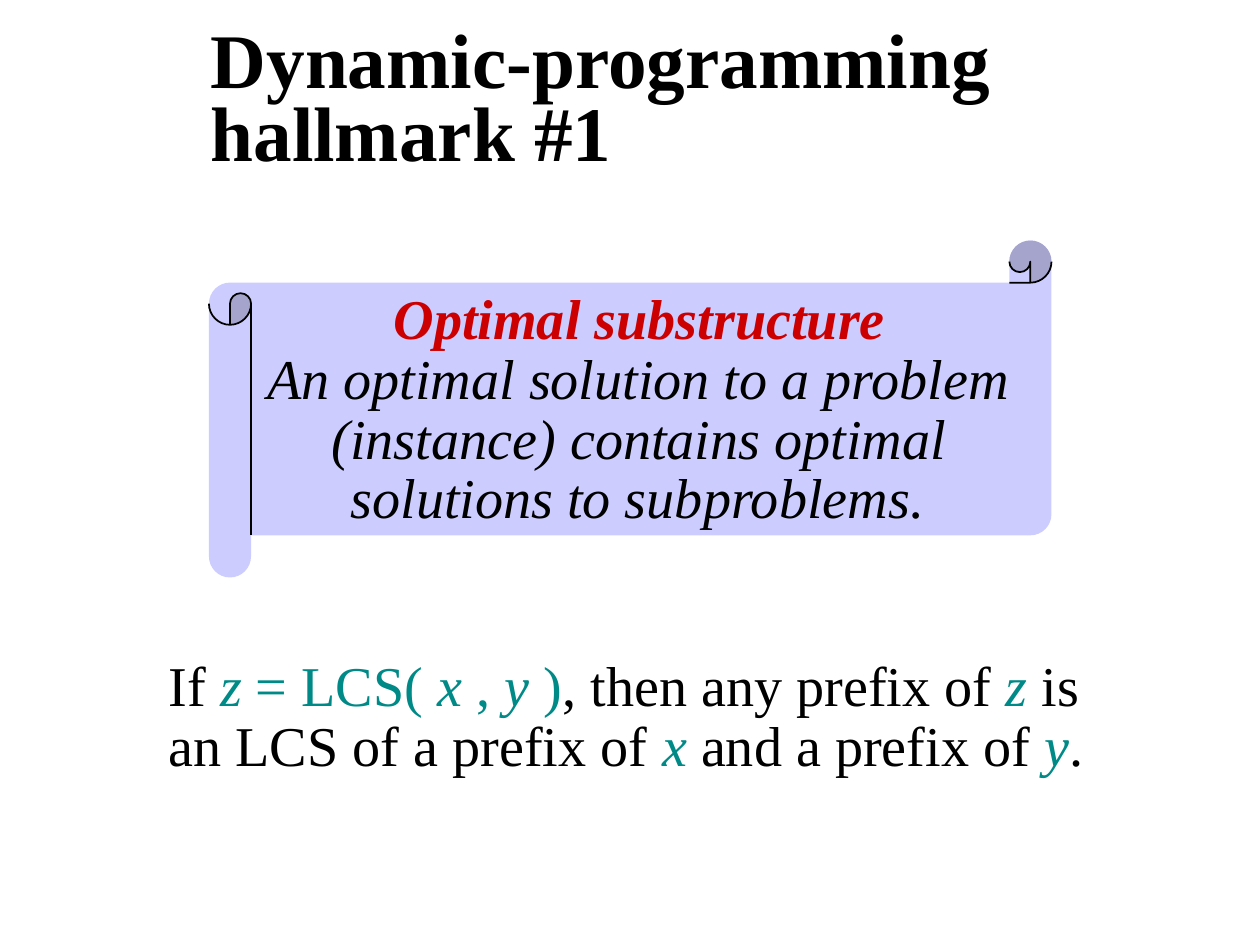
from dataclasses import dataclass
from math import cos, pi, sin

from lxml.etree import SubElement
from pptx import Presentation
from pptx.dml.color import RGBColor
from pptx.enum.shapes import MSO_CONNECTOR
from pptx.oxml.ns import qn
from pptx.util import Inches, Pt


@dataclass(frozen=True)
class Theme:
    font: str = "Times New Roman"
    ink: str = "000000"
    heading: str = "CC0000"
    variable: str = "008A87"
    paper: str = "CCCCFF"
    shade: str = "A4A4CD"
    title_size: int = 44
    body_size: int = 32
    line_width: int = 1


def corner(x, y):
    """A straight segment, as a list of one."""
    return [[(x, y)]]


def quarters(x, y, radius, start, turns):
    """Quarter circles as Bézier segments; start is in right angles, clockwise."""
    way = 1 if turns > 0 else -1
    reach = 0.55 * way
    segments = []
    for i in range(abs(turns)):
        a, b = ((start + way * (i + step)) * pi / 2 for step in (0, 1))
        points = [(cos(a) - reach * sin(a), sin(a) + reach * cos(a)),
                  (cos(b) + reach * sin(b), sin(b) - reach * cos(b)),
                  (cos(b), sin(b))]
        segments.append([(x + radius * px, y + radius * py) for px, py in points])
    return segments


class Page:
    """A slide on a square grid with six cells to the inch."""

    def __init__(self, slide, theme):
        self.slide, self.theme = slide, theme

    def cells(self, count):
        return Inches(count / 6)

    def outline(self, origin, start, segments, fill=None):
        """A filled shape without a line, or an open line without a fill."""
        points = [start] + [point for segment in segments for point in segment]
        places = [(self.cells(origin[0] + x), self.cells(origin[1] + y)) for x, y in points]
        builder = self.slide.shapes.build_freeform(*places[0])
        builder.add_line_segments(places[1:], close=fill is not None)
        shape = builder.convert_to_shape()
        self.bend(shape, segments)
        shape.shadow.inherit = False
        if fill:
            shape.fill.solid()
            shape.fill.fore_color.rgb = RGBColor.from_string(fill)
            shape.line.fill.background()
        else:
            shape.fill.background()
            self.ink_line(shape.line)

    def bend(self, shape, segments):
        """Join each run of three points into one curve."""
        steps = iter(list(shape._element.iter(qn("a:lnTo"))))
        for segment in segments:
            first, *others = [next(steps) for _ in segment]
            if others:
                curve = first.makeelement(qn("a:cubicBezTo"))
                first.addprevious(curve)
                for step in (first, *others):
                    curve.append(step[0])
                    step.getparent().remove(step)

    def ink_line(self, line):
        line.color.rgb = RGBColor.from_string(self.theme.ink)
        line.width = Pt(self.theme.line_width)

    def straight(self, origin, start, end):
        ends = [self.cells(o + p) for point in (start, end) for o, p in zip(origin, point)]
        edge = self.slide.shapes.add_connector(MSO_CONNECTOR.STRAIGHT, *ends)
        self.ink_line(edge.line)
        SubElement(edge._element.spPr, qn("a:effectLst"))

    def text(self, column, row, columns, rows, lines):
        """Lines are (indent, gap, spacing, size, runs)."""
        box = self.slide.shapes.add_textbox(*map(self.cells, (column, row, columns, rows)))
        frame = box.text_frame
        frame.word_wrap = True
        frame.margin_left = frame.margin_right = frame.margin_top = frame.margin_bottom = 0
        for index, (indent, gap, spacing, size, runs) in enumerate(lines):
            paragraph = frame.add_paragraph() if index else frame.paragraphs[0]
            paragraph.space_before, paragraph.line_spacing = Pt(gap), Pt(spacing)
            paragraph._p.get_or_add_pPr().set("marL", str(self.cells(indent)))
            for words, colour, bold, italic in runs:
                run = paragraph.add_run()
                run.text = words
                font = run.font
                font.name, font.size = self.theme.font, Pt(size)
                font.bold, font.italic = bold, italic
                font.color.rgb = RGBColor.from_string(colour)


def main():
    theme = Theme()
    deck = Presentation()
    deck.slide_width, deck.slide_height = Inches(9.97), Inches(7.47)
    page = Page(deck.slides.add_slide(deck.slide_layouts[6]), theme)

    # Scroll: 40 by 16 cells, with rolls one cell in radius
    scroll = (9.92, 11.42)
    paper = (quarters(1, 3, 1, 2, 1) + corner(38, 2) + corner(38, 1)
             + quarters(39, 1, 1, 2, 2) + corner(40, 13) + quarters(39, 13, 1, 0, 1)
             + corner(2, 14) + corner(2, 15) + quarters(1, 15, 1, 0, 2) + corner(0, 3))
    left_curl = quarters(1.5, 3, 0.5, 0, -2) + corner(1, 4)
    page.outline(scroll, (0, 3), paper, theme.paper)
    page.outline(scroll, (1, 4), quarters(1, 3, 1, 1, -1) + left_curl, theme.shade)
    page.outline(scroll, (38, 1), quarters(39, 1, 1, 2, 3) + corner(39, 1)
                 + quarters(38.5, 1, 0.5, 0, 2), theme.shade)

    # Scroll edges
    page.outline(scroll, (0, 3), quarters(1, 3, 1, 2, -2) + left_curl)
    page.straight(scroll, (2, 3), (2, 14))
    page.outline(scroll, (40, 1), quarters(39, 1, 1, 0, 1) + corner(38, 2))
    page.outline(scroll, (38, 1), quarters(38.5, 1, 0.5, 2, -2) + corner(39, 2))

    def plain(words):
        return words, theme.ink, False, False

    def formula(words):
        return words, theme.variable, False, False

    def variable(words):
        return words, theme.variable, False, True

    def title(spacing, words):
        return 2, 0, spacing, theme.title_size, [(words, theme.ink, True, False)]

    def principle(indent, words):
        return indent, 0, 34, theme.body_size, [(words, theme.ink, False, True)]

    # Title, principle on the scroll, and example
    page.text(8, 0.92, 44.28, 36.66, [
        title(48, "Dynamic-programming"),
        title(42, "hallmark #1"),
        (10.68, 60, 39, theme.body_size,
         [("Optimal substructure", theme.heading, True, True)]),
        principle(4.68, "An optimal solution to a problem"),
        principle(7.74, "(instance) contains optimal"),
        principle(8.64, "solutions to subproblems."),
        (0, 70, 37, theme.body_size,
         [plain("If "), variable("z "), formula("= LCS( "), variable("x "),
          formula(", "), variable("y "), formula(")"),
          plain(", then any prefix of "), variable("z "), plain("is")]),
        (0, 0, 34, theme.body_size,
         [plain("an LCS of a prefix of "), variable("x "),
          plain("and a prefix of "), variable("y"), plain(".")]),
    ])

    deck.save("out.pptx")


if __name__ == "__main__":
    main()
